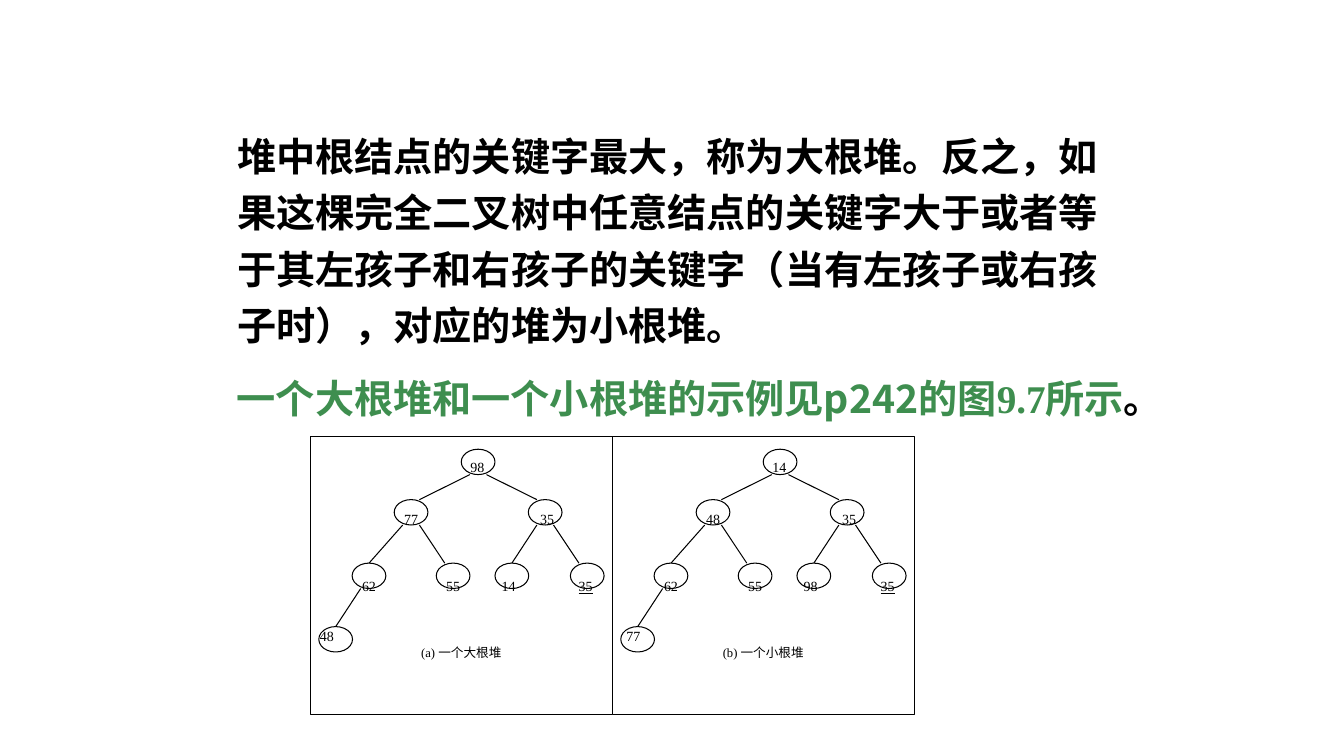
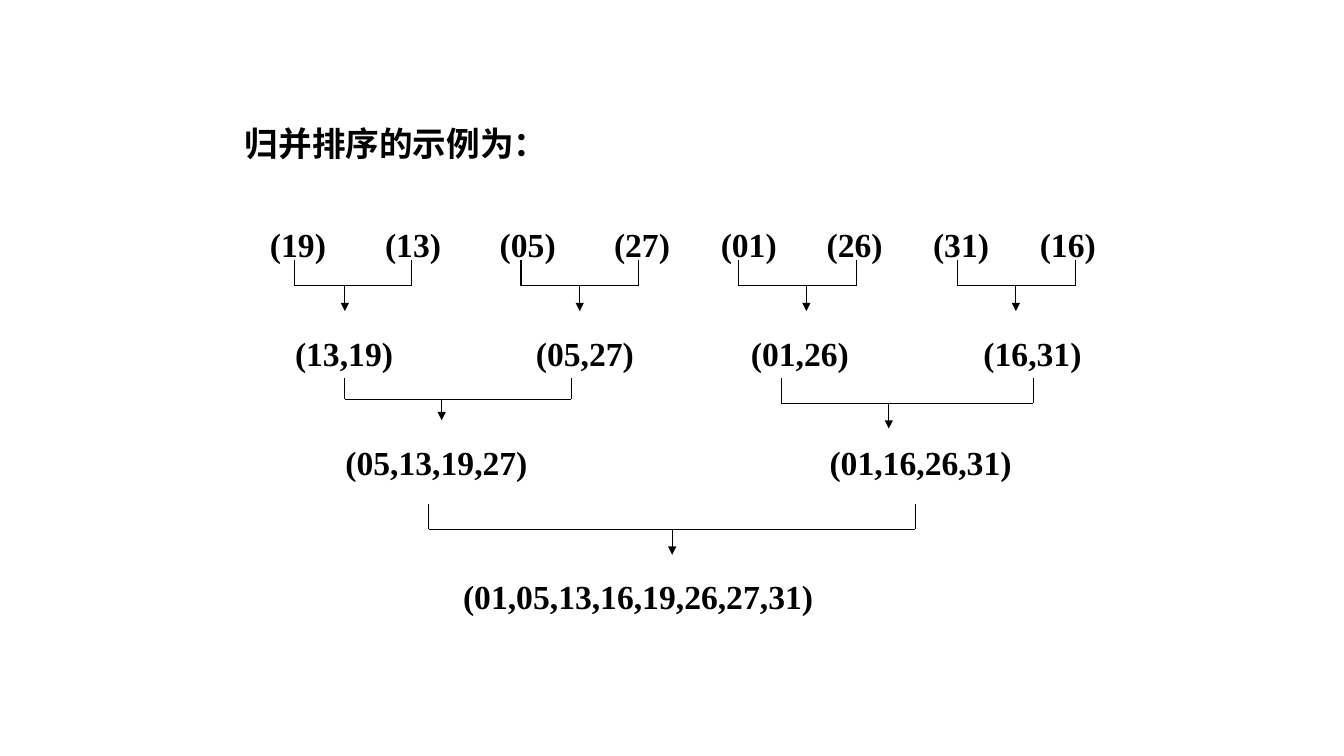
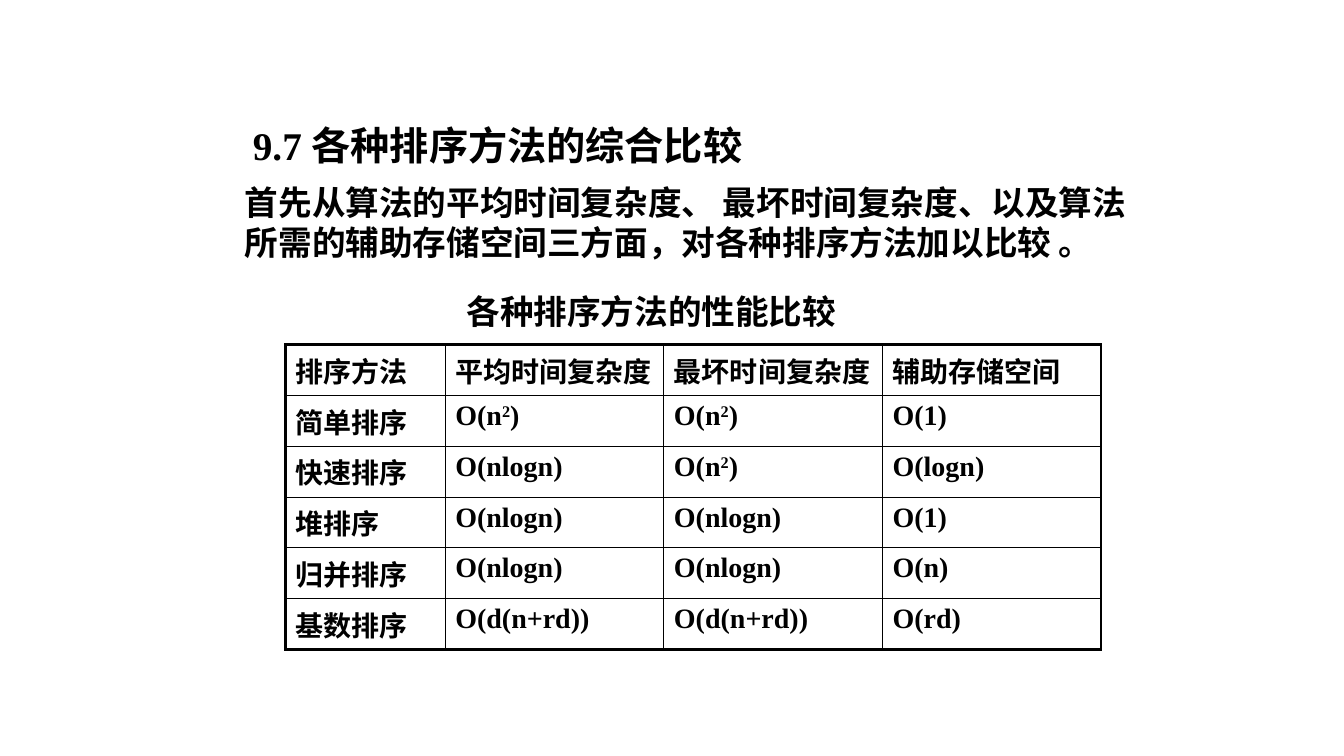
from dataclasses import dataclass

from lxml.etree import SubElement
from pptx import Presentation
from pptx.dml.color import RGBColor
from pptx.enum.shapes import MSO_CONNECTOR as CONN, MSO_SHAPE as SHAPE
from pptx.enum.text import MSO_ANCHOR as ANCHOR, MSO_AUTO_SIZE as FIT, PP_ALIGN as ALIGN
from pptx.oxml.ns import qn
from pptx.util import Cm, Pt


@dataclass(frozen=True)
class Theme:
    black: str = "000000"
    white: str = "FFFFFF"
    green: str = "3E8E4F"
    cjk: str = "Noto Sans CJK SC"
    latin: str = "Times New Roman"
    large: int = 28
    medium: int = 24
    cell: int = 20
    node: int = 10
    caption: int = 9
    thin: float = 0.75
    grid: float = 1
    frame: float = 2.25


T = Theme()

HEAP_TEXT = "堆中根结点的关键字最大，称为大根堆。反之，如果这棵完全二叉树中任意结点的关键字大于或者等于其左孩子和右孩子的关键字（当有左孩子或右孩子时），对应的堆为小根堆。"
HEAP_NOTE = [
    ("一个大根堆和一个小根堆的示例见p242的图", T.cjk, T.green),
    ("9.7所示", T.latin, T.green),
    ("。", T.latin, T.black),
]
HEAPS = [
    ("(a) 一个大根堆", [98, 77, 35, 62, 55, 14, 35, 48], -0.22),
    ("(b) 一个小根堆", [14, 48, 35, 62, 55, 98, 35, 77], -0.11),
]
NODE_X = [4.23, 2.54, 5.92, 1.48, 3.6, 5.08, 6.98, 0.64]
LABEL_DX = [-0.02, 0, 0.05, 0, 0, -0.08, -0.04]
LEVEL_Y = [0.64, 1.91, 3.51, 5.11]
LEVEL_LABEL_DY = [0.13, 0.16, 0.25, -0.08]
UNDERLINED = 6
PANEL_LEFT, PANEL_TOP, PANEL_W, PANEL_H = 7.82, 11, 7.61, 7.01
NODE_W, NODE_H, EDGE_DX = 0.85, 0.64, 0.21
CAPTION_Y = 5.43

MERGE_TITLE = "归并排序的示例为："
MERGE_ROWS = [
    (6.14, [("(19)", 7.51), ("(13)", 10.41), ("(05)", 13.3), ("(27)", 16.18),
            ("(01)", 18.87), ("(26)", 21.54), ("(31)", 24.22), ("(16)", 26.91)]),
    (8.89, [("(13,19)", 8.67), ("(05,27)", 14.74), ("(01,26)", 20.16), ("(16,31)", 26.02)]),
    (11.64, [("(05,13,19,27)", 11), ("(01,16,26,31)", 23.2)]),
    (15.03, [("(01,05,13,16,19,26,27,31)", 16.08)]),
]
BRACKETS = [
    (7.42, 10.36, 8.69, 7.2, 0.64),
    (13.13, 16.08, 14.61, 7.2, 0.64),
    (18.62, 21.59, 20.32, 7.2, 0.64),
    (24.13, 27.1, 25.6, 7.2, 0.64),
    (8.69, 14.4, 11.13, 10.06, 0.53),
    (19.69, 26.04, 22.4, 10.16, 0.64),
    (10.8, 23.06, 16.94, 13.34, 0.64),
]

COMPARE_TITLE = "9.7 各种排序方法的综合比较"
COMPARE_TEXT = [
    ("首先从算法的平均时间复杂度、 最坏时间复杂度、以及算法所需的辅助存储空间三方面，对各种排序方法加以比较", T.cjk, T.black),
    (" 。", T.latin, T.black),
]
TABLE_TITLE = "各种排序方法的性能比较"
TABLE = [
    ("排序方法", "平均时间复杂度", "最坏时间复杂度", "辅助存储空间"),
    ("简单排序", "O(n²)", "O(n²)", "O(1)"),
    ("快速排序", "O(nlogn)", "O(n²)", "O(logn)"),
    ("堆排序", "O(nlogn)", "O(nlogn)", "O(1)"),
    ("归并排序", "O(nlogn)", "O(nlogn)", "O(n)"),
    ("基数排序", "O(d(n+rd))", "O(d(n+rd))", "O(rd)"),
]
COL_W = [4.02, 5.51, 5.51, 5.51]
ROW_H = 1.26


def rgb(color):
    return RGBColor.from_string(color)


def add_run(p, text, size, font=T.latin, color=T.black, bold=True):
    r = p.add_run()
    r.text = text
    f = r.font
    f.size, f.bold, f.name = Pt(size), bold, font
    f.color.rgb = rgb(color)
    SubElement(f._element, qn("a:ea")).set("typeface", T.cjk)
    return r


def fill_text(sp, box, runs, size, align=ALIGN.LEFT, spacing=1):
    sp.left, sp.top, sp.width, sp.height = map(Cm, box)
    tf = sp.text_frame
    tf.word_wrap, tf.auto_size, tf.vertical_anchor = True, FIT.NONE, ANCHOR.TOP
    p = tf.paragraphs[0]
    p.alignment, p.line_spacing = align, spacing
    if sp.is_placeholder:
        pPr = p._p.get_or_add_pPr()
        pPr.set("marL", "0")
        pPr.set("indent", "0")
        SubElement(pPr, qn("a:buNone"))
    for text, font, color in runs:
        add_run(p, text, size, font, color)


def add_textbox(s, box, runs, size, align=ALIGN.LEFT):
    fill_text(s.shapes.add_textbox(0, 0, 0, 0), box, runs, size, align)


def add_label(s, text, x, y, size, width, bold=False):
    height = size * 0.05
    sp = s.shapes.add_textbox(Cm(x - width / 2), Cm(y - height / 2), Cm(width), Cm(height))
    tf = sp.text_frame
    tf.margin_left = tf.margin_right = tf.margin_top = tf.margin_bottom = 0
    tf.word_wrap, tf.vertical_anchor = True, ANCHOR.MIDDLE
    p = tf.paragraphs[0]
    p.alignment = ALIGN.CENTER
    return add_run(p, text, size, bold=bold)


def add_outline(s, kind, x, y, w, h, fill=None):
    sp = s.shapes.add_shape(kind, Cm(x), Cm(y), Cm(w), Cm(h))
    sp.shadow.inherit = False
    if fill:
        sp.fill.solid()
        sp.fill.fore_color.rgb = rgb(fill)
    else:
        sp.fill.background()
    sp.line.color.rgb, sp.line.width = rgb(T.black), Pt(T.thin)


def add_line(s, x1, y1, x2, y2, arrow=False):
    c = s.shapes.add_connector(CONN.STRAIGHT, Cm(x1), Cm(y1), Cm(x2), Cm(y2))
    c.line.color.rgb, c.line.width = rgb(T.black), Pt(T.thin)
    if arrow:
        SubElement(c.line._get_or_add_ln(), qn("a:tailEnd")).set("type", "triangle")
    SubElement(c._element.spPr, qn("a:effectLst"))


def add_heap(s, left, caption, keys, last_dx):
    add_outline(s, SHAPE.RECTANGLE, left, PANEL_TOP, PANEL_W, PANEL_H, T.white)
    levels = [(i + 1).bit_length() - 1 for i in range(len(keys))]
    nodes = [(left + x, PANEL_TOP + LEVEL_Y[lv]) for x, lv in zip(NODE_X, levels)]
    for i, ((x, y), key, lv, dx) in enumerate(zip(nodes, keys, levels, LABEL_DX + [last_dx])):
        add_outline(s, SHAPE.OVAL, x - NODE_W / 2, y - NODE_H / 2, NODE_W, NODE_H)
        r = add_label(s, str(key), x + dx, y + LEVEL_LABEL_DY[lv], T.node, NODE_W)
        if i == UNDERLINED:
            r.font.underline = True
        if i:
            px, py = nodes[(i - 1) // 2]
            shift = -EDGE_DX if i % 2 else EDGE_DX
            lean = shift if i == 1 or i % 2 == 0 else 0
            add_line(s, px + shift, py + NODE_H / 2, x - lean, y - NODE_H / 2)
    add_label(s, caption, left + PANEL_W / 2, PANEL_TOP + CAPTION_Y, T.caption, PANEL_W)


def add_bracket(s, left, right, arrow_x, y, drop):
    add_line(s, left, y, right, y)
    for x in (left, right):
        add_line(s, x, y, x, y - drop)
    add_line(s, arrow_x, y, arrow_x, y + drop, arrow=True)


def set_borders(cell, widths):
    tcPr = cell._tc.get_or_add_tcPr()
    for side, width in zip("LRTB", widths):
        ln = SubElement(tcPr, qn("a:ln" + side))
        ln.set("w", str(Pt(width)))
        SubElement(SubElement(ln, qn("a:solidFill")), qn("a:srgbClr")).set("val", T.black)


def add_compare_table(s, left, top):
    rows, cols = len(TABLE), len(COL_W)
    tbl = s.shapes.add_table(rows, cols, Cm(left), Cm(top), Cm(sum(COL_W)), Cm(rows * ROW_H)).table
    tbl.first_row = tbl.horz_banding = False
    for col, width in zip(tbl.columns, COL_W):
        col.width = Cm(width)
    for i, row in enumerate(TABLE):
        tbl.rows[i].height = Cm(ROW_H)
        for j, text in enumerate(row):
            cell = tbl.cell(i, j)
            outer = (j == 0, j == cols - 1, i == 0, i == rows - 1)
            set_borders(cell, [T.frame if edge else T.grid for edge in outer])
            cell.fill.background()
            p = cell.text_frame.paragraphs[0]
            base, power, rest = text.partition("²")
            add_run(p, base, T.cell)
            if power:
                add_run(p, "2", T.cell).font._element.set("baseline", "30000")
                add_run(p, rest, T.cell)


def plain(text, font=T.latin):
    return [(text, font, T.black)]


def heap_slide(prs):
    s = prs.slides.add_slide(prs.slide_layouts[1])
    title = s.shapes.title._element
    title.getparent().remove(title)
    fill_text(s.placeholders[1], (5.72, 2.97, 23.06, 5.94), plain(HEAP_TEXT, T.cjk), T.large, spacing=1.2)
    add_textbox(s, (5.72, 9.32, 23.29, 1.45), HEAP_NOTE, T.large)
    for i, heap in enumerate(HEAPS):
        add_heap(s, PANEL_LEFT + i * PANEL_W, *heap)


def merge_slide(prs):
    s = prs.slides.add_slide(prs.slide_layouts[5])
    fill_text(s.shapes.title, (5.92, 2.97, 22.02, 1.27), plain(MERGE_TITLE), T.medium)
    for y, row in MERGE_ROWS:
        for text, x in row:
            add_label(s, text, x, y, T.medium, len(text) * 0.5 + 0.5, bold=True)
    for bracket in BRACKETS:
        add_bracket(s, *bracket)


def compare_slide(prs):
    s = prs.slides.add_slide(prs.slide_layouts[1])
    fill_text(s.shapes.title, (6.12, 2.92, 22.23, 1.45), plain(COMPARE_TITLE), T.large)
    fill_text(s.placeholders[1], (5.92, 4.45, 22.86, 2.31), COMPARE_TEXT, T.medium)
    add_compare_table(s, 7.2, 8.69)
    add_textbox(s, (6.99, 7.2, 18.85, 1.27), plain(TABLE_TITLE), T.medium, ALIGN.CENTER)


def main():
    prs = Presentation()
    prs.slide_width, prs.slide_height = Cm(33.87), Cm(19.05)
    for build in (heap_slide, merge_slide, compare_slide):
        build(prs)
    prs.save("out.pptx")


if __name__ == "__main__":
    main()
